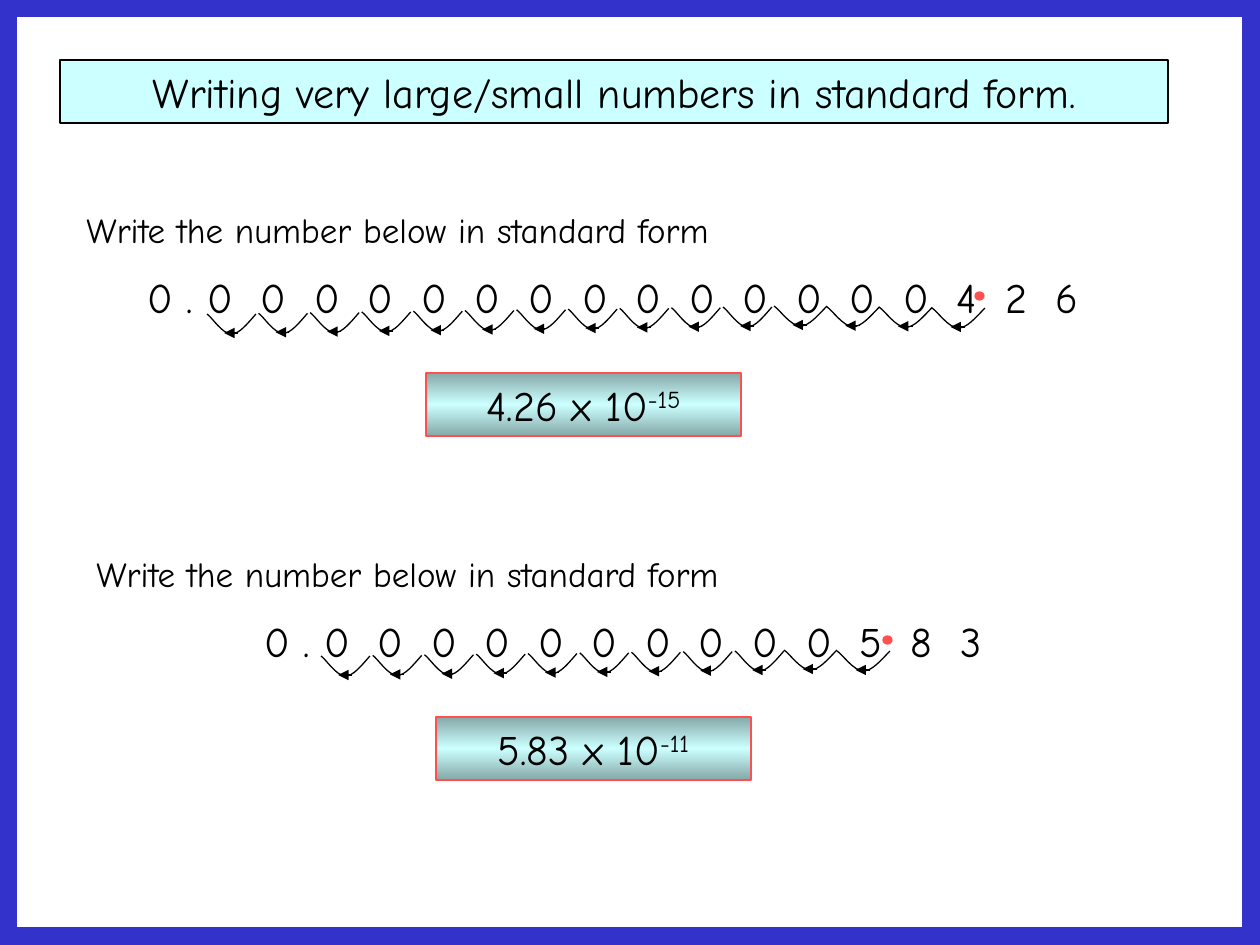
from copy import deepcopy

from lxml import etree
from pptx import Presentation
from pptx.dml.color import RGBColor
from pptx.enum.shapes import MSO_CONNECTOR, MSO_SHAPE
from pptx.enum.text import MSO_ANCHOR, MSO_AUTO_SIZE, PP_ALIGN
from pptx.oxml.ns import qn
from pptx.util import Pt

RECTANGLE, OVAL = MSO_SHAPE.RECTANGLE, MSO_SHAPE.OVAL
STRAIGHT = MSO_CONNECTOR.STRAIGHT
LEFT, CENTER = PP_ALIGN.LEFT, PP_ALIGN.CENTER
TITLE_ONLY = 5
EMU_PER_PX = 914400 / 126
COLORS = {
    "ink": "000000",
    "pale": "CCFFFF",
    "shade": "86A8A8",
    "accent": "FF5050",
    "border": "3333CC",
}
FRAME_FORMAT = {
    "word_wrap": True,
    "auto_size": MSO_AUTO_SIZE.NONE,
    "vertical_anchor": MSO_ANCHOR.TOP,
    "margin_left": 91440,
    "margin_right": 91440,
    "margin_top": 45720,
    "margin_bottom": 45720,
}
DIGIT_TRACKING = "400"
HOP_DEPTH = 20
HOP_START = (1, 0)
HOP_CURVES = [
    [(0.82, 0.5), (0.66, 1), (0.5, 1)],
    [(0.31, 1), (0.1, 0.15), (0, 0)],
]


def px(length):
    return round(length * EMU_PER_PX)


def rgb(name):
    return RGBColor.from_string(COLORS[name])


def evenly(first, last, count):
    return [first + (last - first) * index / (count - 1) for index in range(count)]


def set_line(shape, color, width=0.75):
    shape.line.color.rgb = rgb(color)
    shape.line.width = Pt(width)


def add_span(para, text, size):
    span = para.add_run()
    span.text = text
    formats = {"name": "Comic Neue", "size": Pt(size), "bold": False}
    for name, value in formats.items():
        setattr(span.font, name, value)
    span.font.color.rgb = rgb("ink")
    return span


def fill_text(shape, text, size, align):
    for name, value in FRAME_FORMAT.items():
        setattr(shape.text_frame, name, value)
    para = shape.text_frame.paragraphs[0]
    para.alignment = align
    add_span(para, text, size)
    return para


def add_text(page, left, top, width, height, text, size, align):
    box = page.shapes.add_textbox(px(left), px(top), px(width), px(height))
    return fill_text(box, text, size, align)


def add_plain_shape(page, kind, left, top, width, height):
    shape = page.shapes.add_shape(kind, px(left), px(top), px(width), px(height))
    shape.shadow.inherit = False
    return shape


def add_title(page, left, top, width, height):
    title = page.shapes.title
    title.left, title.top, title.width, title.height = map(px, (left, top, width, height))
    title.fill.solid()
    title.fill.fore_color.rgb = rgb("pale")
    set_line(title, "ink")
    fill_text(title, "Writing very large/small numbers in standard form.", 24, CENTER)


def add_number(page, left, top, digits):
    para = add_text(page, left, top, 1108, 63, "0 . ", 24, CENTER)
    spaced = add_span(para, "".join(digit + " " for digit in digits[:-1]), 24)
    spaced._r.get_or_add_rPr().set("spc", DIGIT_TRACKING)
    add_span(para, digits[-1] + " ", 24)


def add_answer(page, left, top, base, power):
    box = add_plain_shape(page, RECTANGLE, left, top, 315, 63)
    box.fill.gradient()
    stop_list = box._element.spPr.find(".//" + qn("a:gsLst"))
    stop_list.append(deepcopy(stop_list[0]))
    for stop, color, position in zip(box.fill.gradient_stops, ("shade", "pale", "shade"), (0, 0.5, 1)):
        stop.color.rgb = rgb(color)
        stop.position = position
    box.fill.gradient_angle = 90
    set_line(box, "accent")
    para = fill_text(box, base, 24, CENTER)
    exponent = add_span(para, power, 24)
    exponent._r.get_or_add_rPr().set("baseline", "30000")


def add_dot(page, left, top):
    dot = add_plain_shape(page, OVAL, left, top, 9, 8)
    dot.fill.solid()
    dot.fill.fore_color.rgb = rgb("accent")
    set_line(dot, "accent")


def bend_segments(shape):
    segments = shape._element.spPr.findall(".//" + qn("a:lnTo"))
    outline = segments[0].getparent()
    for first in range(0, len(segments), 3):
        curve = etree.SubElement(outline, qn("a:cubicBezTo"))
        for segment in segments[first:first + 3]:
            curve.append(segment[0])
            outline.remove(segment)


def add_hop(page, left, top, width):
    points = [
        (px(left + x * width), px(top + y * HOP_DEPTH))
        for x, y in [HOP_START] + sum(HOP_CURVES, [])
    ]
    builder = page.shapes.build_freeform(*points[0])
    builder.add_line_segments(points[1:], close=False)
    arc = builder.convert_to_shape()
    bend_segments(arc)
    arc.shadow.inherit = False
    arc.fill.background()
    set_line(arc, "ink")

    y = px(top + HOP_DEPTH - 1)
    arrow = page.shapes.add_connector(STRAIGHT, px(left + 0.63 * width), y, px(left + 0.35 * width), y)
    set_line(arrow, "ink")
    etree.SubElement(arrow.line._get_or_add_ln(), qn("a:tailEnd"), type="triangle")
    etree.SubElement(arrow._element.spPr, qn("a:effectLst"))


def add_example(page, left, top, example):
    add_number(page, left, top + 63, example["digits"])
    add_text(page, left + 8, top, 924, 55, "Write the number below in standard form", 20, LEFT)
    add_answer(page, left + 360, top + 171, example["base"], example["power"])
    add_dot(page, left + example["dot"], top + 90)
    for width, count, (first_x, last_x), (first_y, last_y) in example["hops"]:
        for x, y in zip(evenly(first_x, last_x, count), evenly(first_y, last_y, count)):
            add_hop(page, left + x, top + y, width)


def add_border(page, width, height):
    border = add_plain_shape(page, RECTANGLE, 0, 0, width, height)
    border.fill.background()
    set_line(border, "border", 20)


EXAMPLES = [
    (66, 202, {
        "digits": "0" * 14 + "426",
        "base": "4.26 x 10", "power": "-15", "dot": 909,
        "hops": [(49, 11, (141, 657), (112, 105)), (53, 4, (708, 866), (104, 106))],
    }),
    (76, 546, {
        "digits": "0" * 10 + "583",
        "base": "5.83 x 10", "power": "-11", "dot": 807,
        "hops": [(49, 9, (245, 659), (110, 105)), (53, 2, (708, 761), (104, 105))],
    }),
]


def main():
    deck = Presentation()
    deck.slide_width, deck.slide_height = px(1260), px(945)
    page = deck.slides.add_slide(deck.slide_layouts[TITLE_ONLY])
    add_title(page, 60, 60, 1108, 63)
    for left, top, example in EXAMPLES:
        add_example(page, left, top, example)
    add_border(page, 1260, 945)
    deck.save("out.pptx")


if __name__ == "__main__":
    main()
